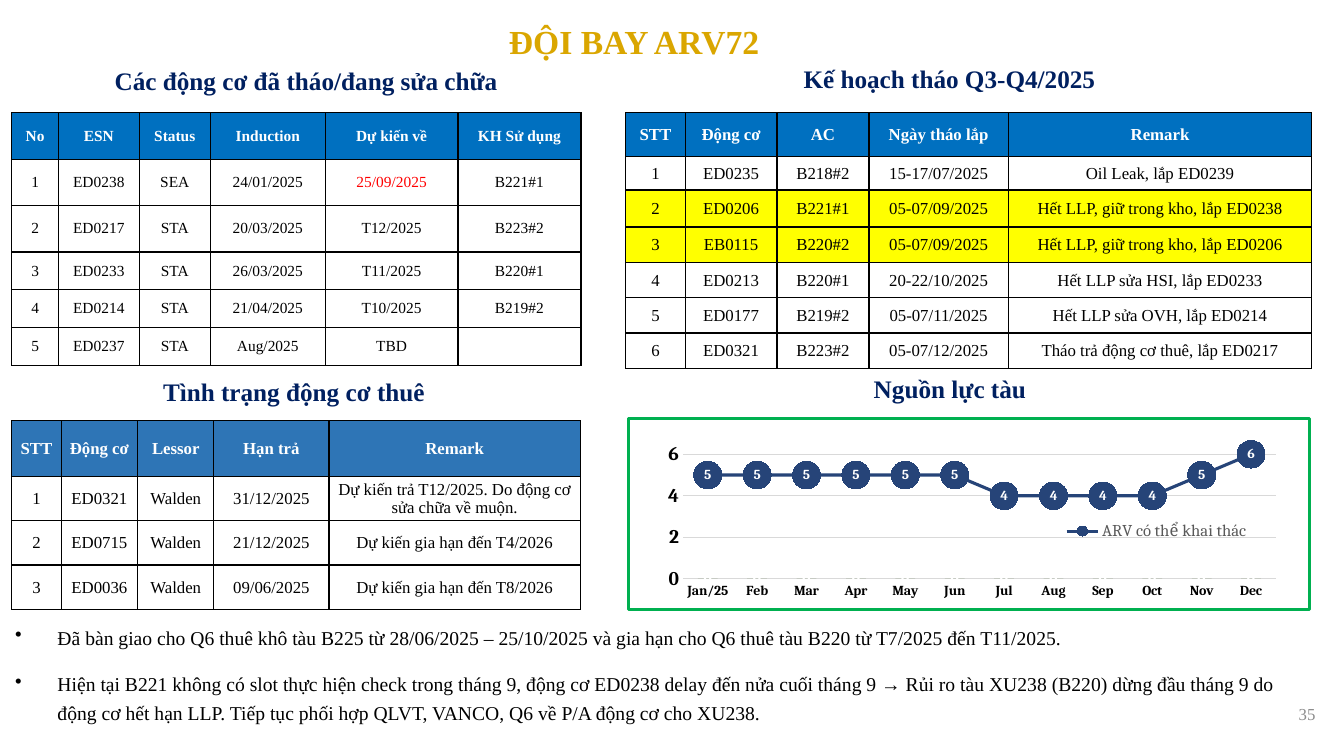
from lxml import etree
from pptx import Presentation
from pptx.chart.data import CategoryChartData
from pptx.dml.color import RGBColor
from pptx.enum.chart import XL_CHART_TYPE, XL_LABEL_POSITION, XL_LEGEND_POSITION, XL_MARKER_STYLE, XL_TICK_MARK
from pptx.enum.text import MSO_ANCHOR, PP_ALIGN
from pptx.oxml import parse_xml
from pptx.oxml.ns import nsdecls, qn
from pptx.util import Cm, Pt

LEFT, CENTER, RIGHT = PP_ALIGN.LEFT, PP_ALIGN.CENTER, PP_ALIGN.RIGHT
TOP, MIDDLE = MSO_ANCHOR.TOP, MSO_ANCHOR.MIDDLE
COLUMN = XL_CHART_TYPE.COLUMN_CLUSTERED
LABEL_CENTER = XL_LABEL_POSITION.CENTER
LEGEND_RIGHT = XL_LEGEND_POSITION.RIGHT
CIRCLE = XL_MARKER_STYLE.CIRCLE
NO_TICK = XL_TICK_MARK.NONE

BLACK, WHITE, RED, YELLOW = "000000", "FFFFFF", "FF0000", "FFFF00"
GOLD, NAVY, BLUE, STEEL = "DAA600", "002060", "0070C0", "2E75B6"
LINE_BLUE, GREEN, DARK_GREEN = "264478", "00B050", "43682B"
PALE, GREY, PAGE_GREY = "D9D9D9", "595959", "8C8C8C"


def rgb(value):
    return RGBColor.from_string(value)


def set_all(target, values):
    for name, value in values.items():
        setattr(target, name, value)


def remove_children(parent, tag):
    for child in parent.findall(qn(tag)):
        parent.remove(child)


def style_font(font, face, size, color, bold=False):
    set_all(font, {"name": face, "size": Pt(size), "bold": bold})
    font.color.rgb = rgb(color)


def style_line(line, color, width):
    line.color.rgb = rgb(color)
    line.width = Pt(width)


def manual_layout(x, y, width, height, inner=False):
    target = '<c:layoutTarget val="inner"/>' if inner else ""
    sizes = "".join(f'<c:{tag} val="{value}"/>'
                    for tag, value in zip("xywh", (x, y, width, height)))
    return parse_xml(
        f'<c:layout {nsdecls("c")}><c:manualLayout>{target}'
        f'<c:xMode val="edge"/><c:yMode val="edge"/>{sizes}</c:manualLayout></c:layout>')


class SlideBuilder:
    text_face = "Times New Roman"
    chart_face = "Cambria"

    def __init__(self, page):
        self.page = page

    def text(self, area, paragraphs, size, color, bold=False, align=LEFT,
             anchor=TOP, wrap=True, bullets=False):
        frame = self.page.shapes.add_textbox(*map(Cm, area)).text_frame
        set_all(frame, {"word_wrap": wrap, "vertical_anchor": anchor})
        for index, words in enumerate(paragraphs):
            para = frame.add_paragraph() if index else frame.paragraphs[0]
            para.alignment = align
            if bullets:
                self.bullet(para)
                para.line_spacing = 1.25
                para.space_before = Pt(12 if index else 0)
            span = para.add_run()
            span.text = words
            style_font(span.font, self.text_face, size, color, bold)

    def bullet(self, para):
        properties = para._p.get_or_add_pPr()
        properties.set("marL", str(Cm(1.07)))
        properties.set("indent", str(-Cm(1.07)))
        etree.SubElement(properties, qn("a:buChar")).set("char", "•")

    def heading(self, area, words):
        self.text(area, [words], 18, NAVY, bold=True, wrap=False)

    def borders(self, cell):
        properties = cell._tc.get_or_add_tcPr()
        for side in "LRTB":
            properties.append(parse_xml(
                f'<a:ln{side} {nsdecls("a")} w="{Pt(1)}"><a:solidFill>'
                f'<a:srgbClr val="{BLACK}"/></a:solidFill></a:ln{side}>'))

    def table(self, left, top, widths, heights, rows, size, header_fill,
              margins, highlighted=(), red=()):
        grid = self.page.shapes.add_table(
            len(rows), len(widths), Cm(left), Cm(top),
            Cm(sum(widths)), Cm(sum(heights))).table
        set_all(grid, {"first_row": False, "horz_banding": False})
        for column, width in zip(grid.columns, widths):
            column.width = Cm(width)
        for r, (row, height, values) in enumerate(zip(grid.rows, heights, rows)):
            row.height = Cm(height)
            fill = YELLOW if r in highlighted else None if r else header_fill
            for cell, words in zip(row.cells, values):
                color = RED if words in red else BLACK if r else WHITE
                self.cell(cell, words, size, color, not r, fill, margins)

    def cell(self, cell, words, size, color, bold, fill, margins):
        across, above, below = map(Cm, margins if words else (0, 0, 0))
        set_all(cell, {"margin_left": across, "margin_right": across,
                       "margin_top": above, "margin_bottom": below,
                       "vertical_anchor": MIDDLE})
        self.borders(cell)
        if fill:
            cell.fill.solid()
            cell.fill.fore_color.rgb = rgb(fill)
        else:
            cell.fill.background()
        para = cell.text_frame.paragraphs[0]
        para.alignment = CENTER
        if words:
            span = para.add_run()
            span.text = words
            style_font(span.font, self.text_face, size, color, bold)

    def chart(self, area, months, series):
        """Combined chart: the first series as columns, the second as a line."""
        data = CategoryChartData()
        data.categories = months
        for name, values in series:
            data.add_series(name, values)
        chart = self.page.shapes.add_chart(COLUMN, *map(Cm, area), data).chart
        chart.has_title = False
        style_font(chart.font, self.chart_face, 10, BLACK)
        self.move_last_series_to_line(chart)
        columns, line_plot = chart.plots
        set_all(columns, {"gap_width": 150, "vary_by_categories": False})
        bars, line = columns.series[0], line_plot.series[0]
        bars.format.fill.solid()
        bars.format.fill.fore_color.rgb = rgb(DARK_GREEN)
        line.smooth = False
        style_line(line.format.line, LINE_BLUE, 2.25)
        set_all(line.marker, {"style": CIRCLE, "size": 20})
        line.marker.format.fill.solid()
        line.marker.format.fill.fore_color.rgb = rgb(LINE_BLUE)
        style_line(line.marker.format.line, LINE_BLUE, 0.75)
        for plotted, size in ((bars, 11), (line, 10)):
            set_all(plotted.data_labels, {"show_value": True, "position": LABEL_CENTER})
            style_font(plotted.data_labels.font, self.chart_face, size, WHITE, True)
        self.axes(chart)
        self.legend(chart)
        self.frame(chart)

    def move_last_series_to_line(self, chart):
        bar_chart = chart._chartSpace.find(".//" + qn("c:barChart"))
        moved = bar_chart.findall(qn("c:ser"))[-1]
        remove_children(moved, "c:invertIfNegative")
        line_chart = parse_xml(
            f'<c:lineChart {nsdecls("c")}><c:grouping val="standard"/>'
            '<c:varyColors val="0"/><c:marker val="1"/></c:lineChart>')
        line_chart.insert(2, moved)
        for axis in bar_chart.findall(qn("c:axId")):
            etree.SubElement(line_chart, qn("c:axId")).set("val", axis.get("val"))
        bar_chart.addnext(line_chart)

    def axes(self, chart):
        months, counts = chart.category_axis, chart.value_axis
        for axis, size in ((months, 10), (counts, 14)):
            set_all(axis, {"major_tick_mark": NO_TICK, "minor_tick_mark": NO_TICK})
            style_font(axis.tick_labels.font, self.chart_face, size, BLACK, True)
        style_line(months.format.line, PALE, 0.75)
        set_all(counts, {"minimum_scale": 0, "maximum_scale": 7, "major_unit": 2})
        counts.format.line.fill.background()
        style_line(counts.major_gridlines.format.line, PALE, 0.75)

    def legend(self, chart):
        chart.has_legend = True
        legend = chart.legend
        set_all(legend, {"position": LEGEND_RIGHT, "include_in_layout": False})
        style_font(legend.font, self.chart_face, 12, GREY)
        remove_children(legend._element, "c:layout")
        position = legend._element.find(qn("c:legendPos"))
        position.addnext(manual_layout(0.63, 0.5, 0.29, 0.18))
        position.addnext(parse_xml(
            f'<c:legendEntry {nsdecls("c")}><c:idx val="0"/>'
            '<c:delete val="1"/></c:legendEntry>'))

    def frame(self, chart):
        body = chart._chartSpace.find(qn("c:chart"))
        plot_area = body.find(qn("c:plotArea"))
        remove_children(plot_area, "c:layout")
        plot_area.insert(0, manual_layout(0.08, 0.08, 0.87, 0.76, inner=True))
        body.addnext(parse_xml(
            f'<c:spPr {nsdecls("c", "a")}><a:noFill/><a:ln w="{Pt(2.25)}"><a:solidFill>'
            f'<a:srgbClr val="{GREEN}"/></a:solidFill></a:ln></c:spPr>'))


REMOVED = [
    ("No", "ESN", "Status", "Induction", "Dự kiến về", "KH Sử dụng"),
    ("1", "ED0238", "SEA", "24/01/2025", "25/09/2025", "B221#1"),
    ("2", "ED0217", "STA", "20/03/2025", "T12/2025", "B223#2"),
    ("3", "ED0233", "STA", "26/03/2025", "T11/2025", "B220#1"),
    ("4", "ED0214", "STA", "21/04/2025", "T10/2025", "B219#2"),
    ("5", "ED0237", "STA", "Aug/2025", "TBD", "")]
PLAN = [
    ("STT", "Động cơ", "AC", "Ngày tháo lắp", "Remark"),
    ("1", "ED0235", "B218#2", "15-17/07/2025", "Oil Leak, lắp ED0239"),
    ("2", "ED0206", "B221#1", "05-07/09/2025", "Hết LLP, giữ trong kho, lắp ED0238"),
    ("3", "EB0115", "B220#2", "05-07/09/2025", "Hết LLP, giữ trong kho, lắp ED0206"),
    ("4", "ED0213", "B220#1", "20-22/10/2025", "Hết LLP sửa HSI, lắp ED0233"),
    ("5", "ED0177", "B219#2", "05-07/11/2025", "Hết LLP sửa OVH, lắp ED0214"),
    ("6", "ED0321", "B223#2", "05-07/12/2025", "Tháo trả động cơ thuê, lắp ED0217")]
LEASED = [
    ("STT", "Động cơ", "Lessor", "Hạn trả", "Remark"),
    ("1", "ED0321", "Walden", "31/12/2025", "Dự kiến trả T12/2025. Do động cơ sửa chữa về muộn."),
    ("2", "ED0715", "Walden", "21/12/2025", "Dự kiến gia hạn đến T4/2026"),
    ("3", "ED0036", "Walden", "09/06/2025", "Dự kiến gia hạn đến T8/2026")]
MONTHS = "Jan/25 Feb Mar Apr May Jun Jul Aug Sep Oct Nov Dec".split()
AIRCRAFT = [("Series 1", [0] * 12),
            ("ARV có thể khai thác", [5] * 6 + [4] * 4 + [5, 6])]
NOTES = [
    "Đã bàn giao cho Q6 thuê khô tàu B225 từ 28/06/2025 – 25/10/2025 và gia hạn cho Q6 "
    "thuê tàu B220 từ T7/2025 đến T11/2025.",
    "Hiện tại B221 không có slot thực hiện check trong tháng 9, động cơ ED0238 delay đến "
    "nửa cuối tháng 9 → Rủi ro tàu XU238 (B220) dừng đầu tháng 9 do động cơ hết hạn LLP. "
    "Tiếp tục phối hợp QLVT, VANCO, Q6 về P/A động cơ cho XU238."]


def main():
    deck = Presentation()
    set_all(deck, {"slide_width": Cm(33.87), "slide_height": Cm(19.05)})
    slide = SlideBuilder(deck.slides.add_slide(deck.slide_layouts[6]))
    slide.text((31.37, 17.27, 2.03, 1.45), ["35"], 12, PAGE_GREY, align=RIGHT, anchor=MIDDLE)
    slide.text((7.98, 0.41, 16, 1.27), ["ĐỘI BAY ARV72"], 24, GOLD, bold=True, align=CENTER)
    slide.heading((2.64, 1.52, 10.26, 1.02), "Các động cơ đã tháo/đang sửa chữa")
    slide.heading((20, 1.47, 7.95, 1.02), "Kế hoạch tháo Q3-Q4/2025")
    slide.heading((3.86, 9.35, 7.16, 1.02), "Tình trạng động cơ thuê")
    slide.heading((21.77, 9.27, 4.39, 1.02), "Nguồn lực tàu")
    slide.table(0.3, 2.84, [1.17, 2.04, 1.79, 2.9, 3.34, 3.1], [1.17] * 3 + [0.95] * 3,
                REMOVED, 11, BLUE, (0.33, 0.18, 0.18), red=("25/09/2025",))
    slide.table(15.77, 2.84, [1.5, 2.31, 2.32, 3.51, 7.65], [1.11, 0.84, 0.93] + [0.89] * 4,
                PLAN, 12, BLUE, (0.02, 0.02, 0), highlighted=(2, 3))
    slide.table(0.3, 10.6, [1.24, 1.93, 1.92, 2.9, 6.34], [1.4] + [1.12] * 3,
                LEASED, 12, STEEL, (0.02, 0.02, 0))
    slide.chart((15.8, 10.5, 17.25, 4.9), MONTHS, AIRCRAFT)
    slide.text((0.13, 15.49, 32.69, 2.87), NOTES, 14, BLACK, bullets=True)
    deck.save("out.pptx")


if __name__ == "__main__":
    main()
